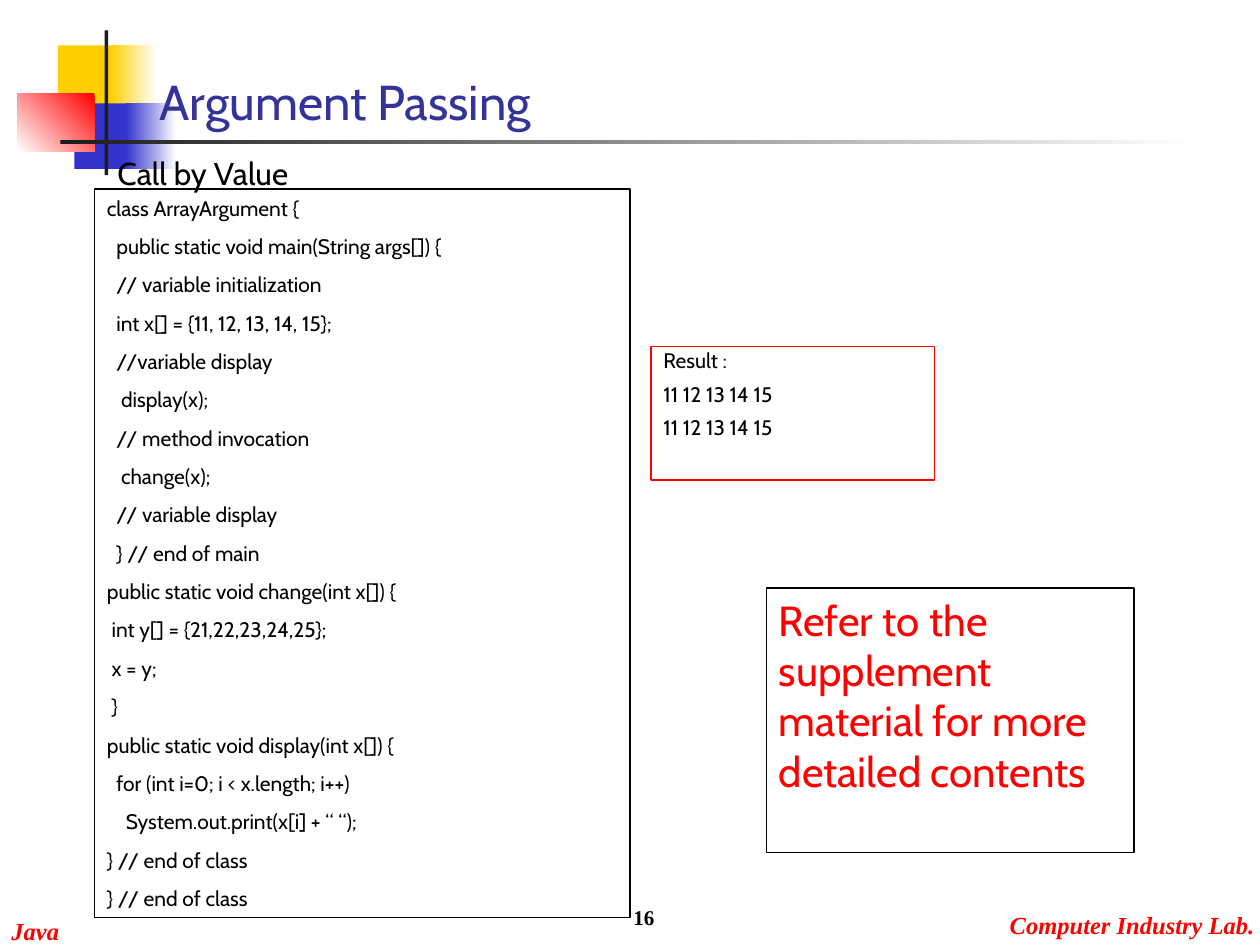
import pptx
import pptx.util
from pptx.dml.color import RGBColor
from pptx.enum.shapes import MSO_SHAPE
from pptx.enum.text import MSO_ANCHOR, PP_ALIGN

Pt = pptx.util.Pt

THEME = {
    "yellow": "FFCF01", "blue": "3333CC", "red": "FF0000", "white": "FFFFFF",
    "dark": "1C1C1C", "black": "000000", "title": "333399",
    "body_font": "Cabin", "footer_font": "Times New Roman",
    "title_size": 28, "note_size": 24, "heading_size": 18,
    "footer_size": 14, "code_size": 12,
    "outline": 0.74, "space_width": 2.7,
}

TITLE = "Argument Passing"
# Each code line: indent in space widths, text
CODE = [
    (0, "class ArrayArgument {"),
    (2, "public static void main(String args[]) {"),
    (2, "// variable initialization"),
    (2, "int x[] = {11, 12, 13, 14, 15};"),
    (2, "//variable display"),
    (3, "display(x);"),
    (2, "// method invocation"),
    (3, "change(x);"),
    (2, "// variable display"),
    (2, "} // end of main"),
    (0, "public static void change(int x[]) {"),
    (1, "int y[] = {21,22,23,24,25};"),
    (1, "x = y;"),
    (1, "}"),
    (0, "public static void display(int x[]) {"),
    (2, "for (int i=0; i < x.length; i++)"),
    (4, "System.out.print(x[i] + “ “);"),
    (0, "} // end of class"),
    (0, "} // end of class"),
]
RESULT = [(0, "Result :"), (0, "11 12 13 14 15"), (0, "11 12 13 14 15")]
NOTE = [(0, "Refer to the supplement material for more detailed contents")]

# Ornament: left, top, width, height, colours from left to right, angle
ORNAMENT = [
    (33.12, 25.92, 34.56, 37.44, ["yellow"], 0),
    (63.36, 25.92, 25.92, 37.44, ["yellow", "white"], 0),
    (42.48, 59.04, 33.12, 37.44, ["blue"], 0),
    (72, 59.04, 28.8, 37.44, ["blue", "white"], 0),
    (10.08, 53.28, 43.92, 33.12, ["red", "white"], 225),
    (59.76, 17.28, 2.16, 82.8, ["dark"], 0),
    (34.56, 79.92, 648, 2.16, ["dark", "white"], 0),
]

FOOTER = {"font": "footer_font", "size": "footer_size", "color": "red",
          "bold": True, "italic": True}
# Text boxes: position, lines, format
BOXES = [
    ((0, 519.84, 60, 24.48), [(0, "Java")], {**FOOTER, "inset": 6.5}),
    ((560, 516.24, 160, 24.48), [(0, "Computer Industry Lab.")],
     {**FOOTER, "inset": 3, "align": PP_ALIGN.RIGHT}),
    ((54, 108, 306, 416.16), CODE, {"outline": "black", "before": 7.5}),
    ((60, 84.24, 138, 28.8), [(0, "Call by Value")],
     {"size": "heading_size", "before": 11.2}),
    ((372, 198, 162, 76.32), RESULT,
     {"outline": "red", "before": 7.5, "spacing": 0.8}),
    ((438, 336, 210, 151.2), NOTE,
     {"outline": "black", "size": "note_size", "color": "red", "before": 15}),
    ((231, 498.96, 150, 36), [(0, "16")],
     {"font": "footer_font", "bold": True, "align": PP_ALIGN.RIGHT,
      "anchor": MSO_ANCHOR.BOTTOM}),
]


def color(name):
    """Return a theme colour."""
    return RGBColor.from_string(THEME[name])


def set_all(target, values):
    """Set every attribute named in a dict of format values."""
    for name, value in values.items():
        setattr(target, name, value)


def write_lines(shape, lines, style):
    """Fill a shape with formatted paragraphs."""
    frame = shape.text_frame
    inset = Pt(style.get("inset", 7.2))
    set_all(frame, {
        "word_wrap": True,
        "vertical_anchor": style.get("anchor", MSO_ANCHOR.TOP),
        "margin_left": inset, "margin_right": inset,
        "margin_top": Pt(3.6), "margin_bottom": Pt(3.6),
    })
    for index, (indent, text) in enumerate(lines):
        para = frame.add_paragraph() if index else frame.paragraphs[0]
        set_all(para, {
            "alignment": style.get("align", PP_ALIGN.LEFT),
            "space_before": Pt(style.get("before", 0)),
            "line_spacing": style.get("spacing", 1.0),
        })
        if indent:
            margin = Pt(indent * THEME["space_width"])
            para._p.get_or_add_pPr().set("marL", str(margin))
        span = para.add_run()
        span.text = text
        set_all(span.font, {
            "name": THEME[style.get("font", "body_font")],
            "size": Pt(THEME[style.get("size", "code_size")]),
            "bold": style.get("bold", False),
            "italic": style.get("italic", False),
        })
        span.font.color.rgb = color(style.get("color", "black"))


def add_ornament(page, left, top, width, height, colors, angle):
    """Draw one plain or gradient block of the ornament."""
    block = page.shapes.add_shape(
        MSO_SHAPE.RECTANGLE, Pt(left), Pt(top), Pt(width), Pt(height))
    block.shadow.inherit = False
    block.line.fill.background()
    if len(colors) == 1:
        block.fill.solid()
        block.fill.fore_color.rgb = color(colors[0])
        return
    block.fill.gradient()
    block.fill.gradient_angle = angle
    for stop, name in zip(block.fill.gradient_stops, colors):
        stop.color.rgb = color(name)


def add_box(page, place, lines, style):
    """Add a text box, or an outlined rectangle holding text."""
    place = [Pt(value) for value in place]
    if "outline" in style:
        box = page.shapes.add_shape(MSO_SHAPE.RECTANGLE, *place)
        box.shadow.inherit = False
        box.fill.background()
        box.line.color.rgb = color(style["outline"])
        box.line.width = Pt(THEME["outline"])
    else:
        box = page.shapes.add_textbox(*place)
    write_lines(box, lines, style)


def add_title(page):
    """Place and format the title placeholder."""
    title = page.shapes.title
    set_all(title, {"left": Pt(84), "top": Pt(36),
                    "width": Pt(582), "height": Pt(42)})
    write_lines(title, [(0, TITLE)], {
        "size": "title_size", "color": "title", "anchor": MSO_ANCHOR.BOTTOM})
    # Bring the title in front of the ornament
    page.shapes._spTree.append(title._element)


def build():
    """Build and save the deck."""
    deck = pptx.Presentation()
    set_all(deck, {"slide_width": Pt(720), "slide_height": Pt(540)})
    page = deck.slides.add_slide(deck.slide_layouts[5])
    for block in ORNAMENT:
        add_ornament(page, *block)
    add_title(page)
    for box in BOXES:
        add_box(page, *box)
    deck.save("out.pptx")


build()
